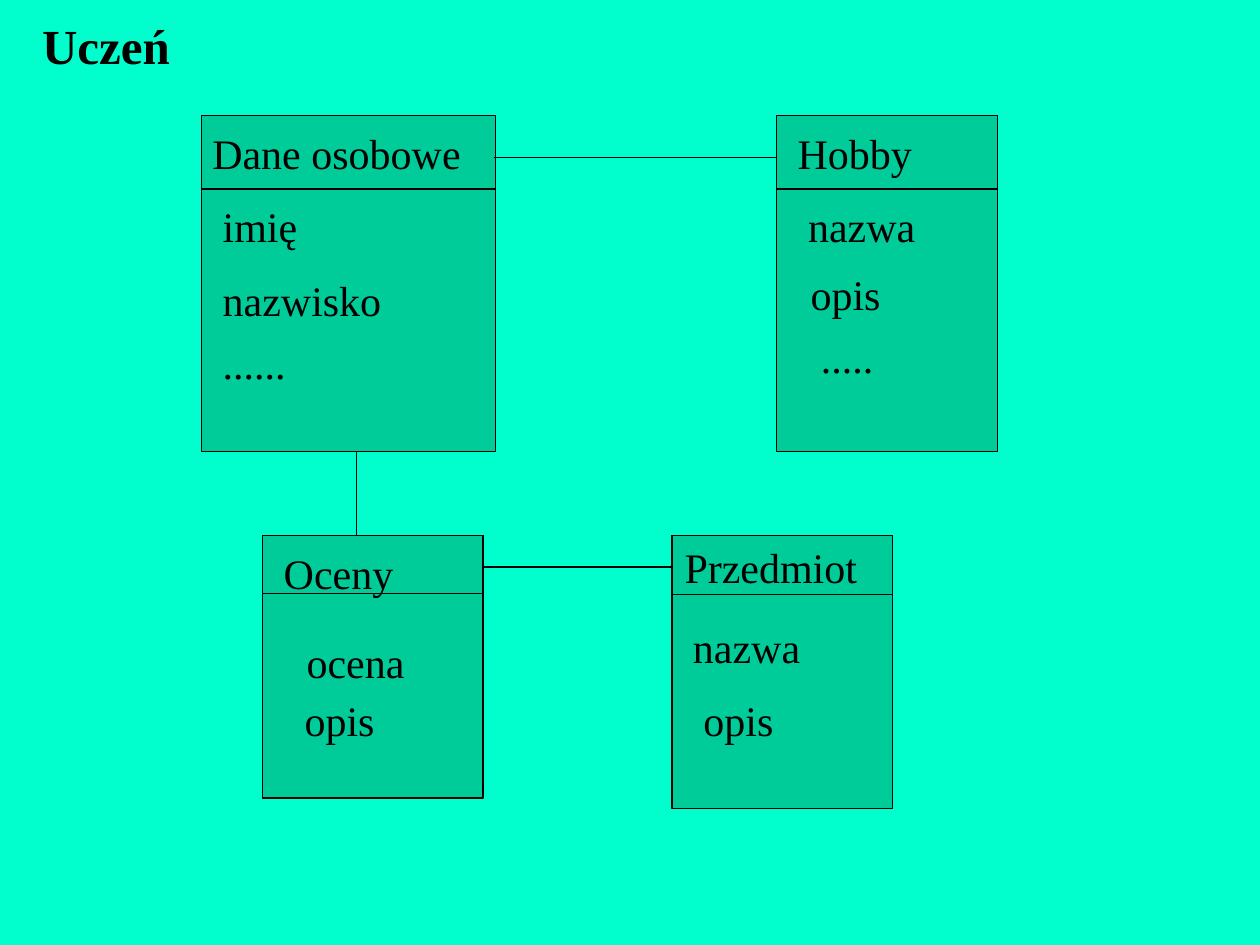
from typing import NamedTuple

from lxml import etree
from pptx import Presentation
from pptx import util as u
from pptx.dml.color import RGBColor
from pptx.enum import shapes, text
from pptx.oxml.ns import qn

BACKGROUND = RGBColor(0x00, 0xFF, 0xCC)
BOX_FILL = RGBColor(0x00, 0xCC, 0x99)
BLACK = RGBColor(0x00, 0x00, 0x00)
LINE_WIDTH = u.Pt(0.75)
LABEL_HEIGHT = 1.27


class Label(NamedTuple):
    """A one-line text; lengths in centimetres."""
    words: str
    left: float
    top: float
    width: float


class Entity(NamedTuple):
    """A class box with a header strip; lengths in centimetres."""
    left: float
    top: float
    width: float
    height: float
    header: float
    labels: list[Label]


class Link(NamedTuple):
    x1: float
    y1: float
    x2: float
    y2: float


ENTITIES = [
    Entity(4.06, 2.33, 5.93, 6.77, 1.48, [
        Label("Dane osobowe", 4.03, 2.44, 5.6),
        Label("imię", 4.24, 3.92, 2.1),
        Label("nazwisko", 4.24, 5.41, 3.8),
        Label("......", 4.24, 6.68, 1.9),
    ]),
    Entity(15.66, 2.33, 4.45, 6.77, 1.48, [
        Label("Hobby", 15.83, 2.44, 2.9),
        Label("nazwa", 16.04, 3.92, 2.8),
        Label("opis", 16.09, 5.28, 2),
        Label(".....", 16.3, 6.55, 1.7),
    ]),
    Entity(13.55, 10.8, 4.45, 5.5, 1.19, [
        Label("Przedmiot", 13.55, 10.8, 4.1),
        Label("nazwa", 13.72, 12.4, 2.8),
        Label("opis", 13.93, 13.87, 2),
    ]),
    Entity(5.29, 10.8, 4.45, 5.29, 1.16, [
        Label("Oceny", 5.47, 10.91, 2.8),
        Label("ocena", 5.93, 12.7, 2.6),
        Label("opis", 5.89, 13.87, 2),
    ]),
]
LINKS = [
    Link(9.95, 3.18, 15.66, 3.18),
    Link(7.19, 9.1, 7.19, 10.8),
    Link(9.74, 11.43, 13.55, 11.43),
]
TITLE = Label("Uczeń", 0.6, 0.18, 3.2)


def add_label(parent, label: Label, height: float = LABEL_HEIGHT,
              size: int = 24, bold: bool = False) -> None:
    box = (label.left, label.top, label.width, height)
    tf = parent.add_textbox(*map(u.Cm, box)).text_frame
    tf.word_wrap = False
    tf.auto_size = text.MSO_AUTO_SIZE.SHAPE_TO_FIT_TEXT
    r = tf.paragraphs[0].add_run()
    r.text = label.words
    font_format = {"name": "Times New Roman", "size": u.Pt(size), "bold": bold}
    for name, value in font_format.items():
        setattr(r.font, name, value)
    r.font.color.rgb = BLACK


def add_entity(parent, entity: Entity) -> None:
    group = parent.add_group_shape().shapes
    # Whole box first, then the header strip on top of it
    for height in (entity.height, entity.header):
        box = (entity.left, entity.top, entity.width, height)
        sp = group.add_shape(shapes.MSO_SHAPE.RECTANGLE, *map(u.Cm, box))
        sp.shadow.inherit = False
        sp.fill.solid()
        sp.fill.fore_color.rgb = BOX_FILL
        sp.line.color.rgb = BLACK
        sp.line.width = LINE_WIDTH
    for label in entity.labels:
        add_label(group, label)


def add_link(parent, link: Link) -> None:
    line = parent.add_connector(shapes.MSO_CONNECTOR.STRAIGHT, *map(u.Cm, link))
    line.line.color.rgb = BLACK
    line.line.width = LINE_WIDTH
    etree.SubElement(line._element.spPr, qn("a:effectLst"))


def main() -> None:
    prs = Presentation()
    prs.slide_width, prs.slide_height = u.Cm(25.4), u.Cm(19.05)
    s = prs.slides.add_slide(prs.slide_layouts[6])
    s.background.fill.solid()
    s.background.fill.fore_color.rgb = BACKGROUND

    # Class boxes and their associations
    for entity in ENTITIES:
        add_entity(s.shapes, entity)
    for link in LINKS:
        add_link(s.shapes, link)

    # Diagram title
    add_label(s.shapes, TITLE, height=1.45, size=28, bold=True)
    prs.save("out.pptx")


if __name__ == "__main__":
    main()
